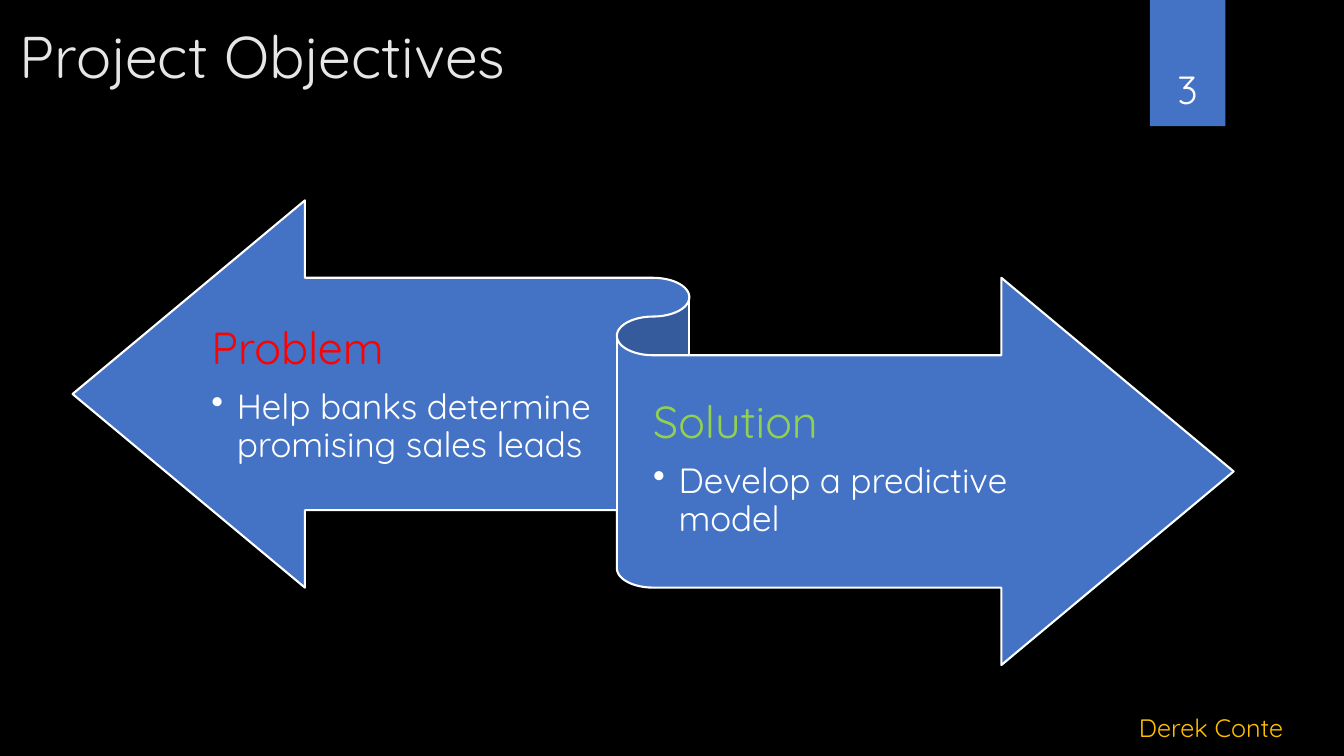
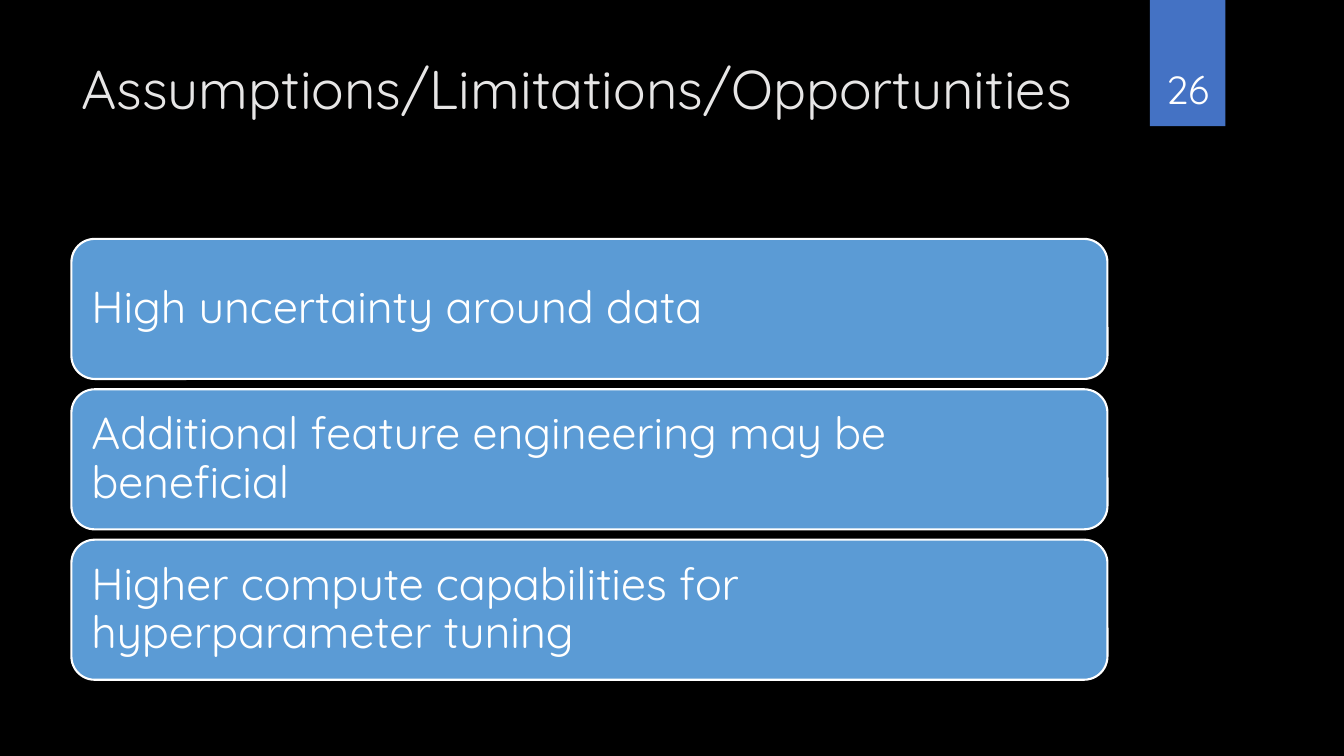
from dataclasses import dataclass

from lxml.etree import SubElement
from pptx import Presentation
from pptx.dml.color import RGBColor
from pptx.enum.shapes import MSO_SHAPE as Preset
from pptx.enum.text import MSO_ANCHOR as Anchor, PP_ALIGN as Align
from pptx.oxml.ns import qn
from pptx.util import Cm, Pt


@dataclass(frozen=True)
class Theme:
    font: str = "Quicksand"
    background: str = "000000"
    title: str = "E7E6E6"
    text: str = "FFFFFF"
    accent: str = "4472C4"
    panel: str = "5B9BD5"
    problem: str = "FF0000"
    solution: str = "92D050"
    author: str = "FFC000"
    heading_size: int = 32
    bullet_size: int = 25
    number_size: int = 28
    author_size: int = 18
    outline: float = 1.5


theme = Theme()


def write(para, text, size, color):
    para.text = text
    para.font.name = theme.font
    para.font.size = Pt(size)
    para.font.color.rgb = RGBColor.from_string(color)


def add_box(page, place, fill=None, line=None, preset=None):
    """Add a preset shape, or a text box when no preset is given."""
    place = [Cm(length) for length in place]
    if preset is None:
        box = page.shapes.add_textbox(*place)
    else:
        box = page.shapes.add_shape(preset, *place)
        box.shadow.inherit = False
        box.fill.solid()
        box.fill.fore_color.rgb = RGBColor.from_string(fill)
        if line:
            box.line.color.rgb = RGBColor.from_string(line)
            box.line.width = Pt(theme.outline)
        else:
            box.line.fill.background()
    box.text_frame.word_wrap = True
    return box


deck = Presentation()
deck.slide_width, deck.slide_height = Cm(33.87), Cm(19.05)

# Shared background
backdrop = deck.slide_master.background.fill
backdrop.solid()
backdrop.fore_color.rgb = RGBColor.from_string(theme.background)

# Shared frame: title and numbered badge
frames = [
    ("Project Objectives", 42, (0.25, 0.36, 28.7, 3.76), "3"),
    ("Assumptions/Limitations/Opportunities", 39, (1.8, 1.27, 26.14, 3.89), "26"),
]
pages = []
for title, title_size, title_place, number in frames:
    page = deck.slides.add_slide(deck.slide_layouts[6])
    pages.append(page)
    title_box = add_box(page, title_place)
    write(title_box.text_frame.paragraphs[0], title, title_size, theme.title)

    badge = add_box(page, (28.98, 0, 1.9, 3.18), theme.accent, preset=Preset.RECTANGLE)
    frame = badge.text_frame
    frame.vertical_anchor = Anchor.BOTTOM
    frame.margin_left = frame.margin_right = 0
    frame.margin_bottom = Cm(0.36)
    para = frame.paragraphs[0]
    para.alignment = Align.CENTER
    write(para, number, theme.number_size, theme.text)

objectives, outlook = pages

# Objectives: two-way ribbon with a text on each arm
add_box(objectives, (1.83, 5.05, 29.26, 11.71), theme.accent, theme.text,
        Preset.LEFT_RIGHT_RIBBON)
arms = [
    ("Problem", theme.problem, "Help banks determine promising sales leads",
     (5.33, 7.11, 9.65, 5.74)),
    ("Solution", theme.solution, "Develop a predictive model",
     (16.46, 8.97, 11.4, 5.74)),
]
for heading, color, bullet, place in arms:
    frame = add_box(objectives, place).text_frame
    frame.vertical_anchor = Anchor.MIDDLE
    frame.margin_left = frame.margin_right = 0
    frame.margin_top, frame.margin_bottom = Cm(0.3), Cm(0.33)

    para = frame.paragraphs[0]
    write(para, heading, theme.heading_size, color)
    para.line_spacing, para.space_after = 0.9, Pt(11)

    para = frame.add_paragraph()
    write(para, bullet, theme.bullet_size, theme.text)
    para.line_spacing, para.space_after = 0.9, Pt(4)
    properties = para._p.get_or_add_pPr()
    properties.set("marL", str(Cm(0.64)))
    properties.set("indent", str(-Cm(0.64)))
    mark = SubElement(properties, qn("a:buChar"))
    mark.set("char", "•")
    # Bullet properties must precede the default run properties
    default_run = properties.find(qn("a:defRPr"))
    if default_run is not None:
        default_run.addprevious(mark)

# Objectives: author
author_box = add_box(objectives, (28.45, 17.83, 4.5, 1.02))
write(author_box.text_frame.paragraphs[0], "Derek Conte", theme.author_size, theme.author)

# Outlook: stacked panels
panel_height, panel_gap = 3.53, 0.26
statements = [
    "High uncertainty around data",
    "Additional feature engineering may be beneficial",
    "Higher compute capabilities for hyperparameter tuning",
]
for row, statement in enumerate(statements):
    top = 6.02 + row * (panel_height + panel_gap)
    panel = add_box(outlook, (1.8, top, 26.11, panel_height), theme.panel, theme.text,
                    Preset.ROUNDED_RECTANGLE)
    frame = panel.text_frame
    frame.vertical_anchor = Anchor.MIDDLE
    frame.margin_left = frame.margin_right = Cm(0.33)
    frame.margin_top = frame.margin_bottom = Cm(0.33)
    para = frame.paragraphs[0]
    para.alignment = Align.LEFT
    para.line_spacing, para.space_after = 0.9, Pt(11)
    write(para, statement, theme.heading_size, theme.text)

deck.save("out.pptx")
